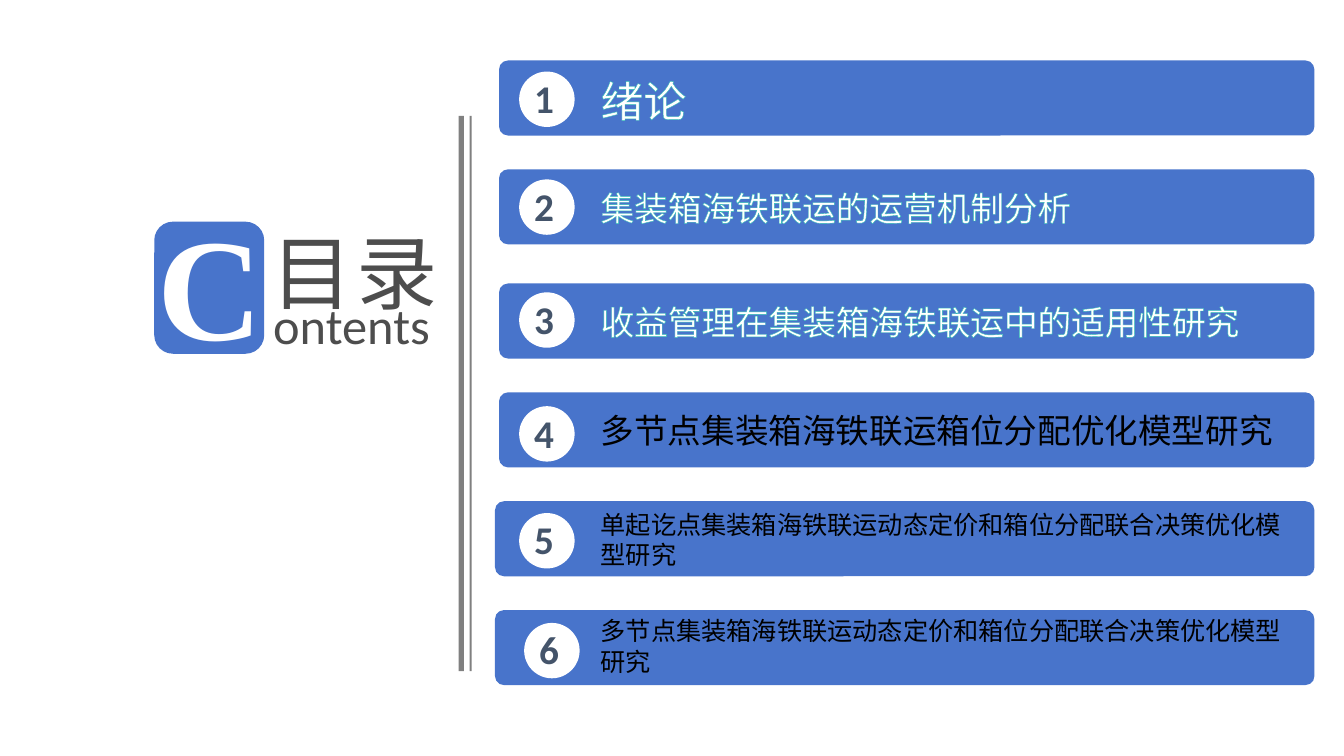
"""Contents slide: a lettered heading beside six numbered chapter bars, laid out in percent of the slide."""
from dataclasses import dataclass

from lxml.etree import SubElement
from pptx import Presentation
from pptx.dml.color import RGBColor
from pptx.enum.shapes import MSO_SHAPE
from pptx.enum.text import PP_ALIGN
from pptx.oxml import parse_xml
from pptx.oxml.ns import nsdecls, qn
from pptx.slide import Slide
from pptx.util import Emu, Inches, Pt

WIDTH, HEIGHT = Inches(13.33), Inches(7.5)
BLUE, WHITE, BLACK, SLATE, DARK, GREY = "4874CB", "FFFFFF", "000000", "44546A", "4D4D4D", "808080"
TEAL = "30C0B4"
HAN, LATIN, SERIF = "Noto Sans CJK SC", "Calibri", "Times New Roman"
BAR_TOP, BAR_PITCH, BAR_HEIGHT, BAR_RIGHT = 8, 14.4, 9.93, 97.8
LOWER_SHIFT = 0.7


@dataclass
class Box:
    left: float
    top: float
    width: float
    height: float

    def emu(self) -> tuple[Emu, Emu, Emu, Emu]:
        return (Emu(round(WIDTH * self.left / 100)), Emu(round(HEIGHT * self.top / 100)),
                Emu(round(WIDTH * self.width / 100)), Emu(round(HEIGHT * self.height / 100)))


@dataclass
class Style:
    size: float
    color: str
    font: str
    bold: bool = False
    outline: str = ""
    spacing: int = 0


@dataclass
class Chapter:
    title: str
    size: float
    color: str
    badge_drop: float
    title_drop: float
    outline: str = ""
    bar_left: float = 37.13
    badge_left: float = 38.63


CHAPTERS = [
    Chapter("绪论", 30.6, WHITE, 1.47, 1.2, TEAL),
    Chapter("集装箱海铁联运的运营机制分析", 24, WHITE, 1.33, 1.73, TEAL),
    Chapter("收益管理在集装箱海铁联运中的适用性研究", 24, WHITE, 1.17, 1.7, TEAL),
    Chapter("多节点集装箱海铁联运箱位分配优化模型研究", 24, BLACK, 1.83, 1.7),
    Chapter("单起讫点集装箱海铁联运动态定价和箱位分配联合决策优化模型研究",
            18, BLACK, 1.57, 0.37, bar_left=36.83),
    Chapter("多节点集装箱海铁联运动态定价和箱位分配联合决策优化模型研究",
            18, BLACK, 1.7, 0.1, bar_left=36.83, badge_left=39),
]


def rgb(color: str) -> RGBColor:
    return RGBColor.from_string(color)


def add_block(s: Slide, kind: MSO_SHAPE, box: Box, color: str, corner: float | None = None) -> None:
    sp = s.shapes.add_shape(kind, *box.emu())
    sp.shadow.inherit = False
    sp.fill.solid()
    sp.fill.fore_color.rgb = rgb(color)
    sp.line.fill.background()
    if corner is not None:
        sp.adjustments[0] = corner


def add_text(s: Slide, text: str, box: Box, style: Style, wrap: bool = True,
             inset: bool = True, align: PP_ALIGN = PP_ALIGN.LEFT) -> None:
    tf = s.shapes.add_textbox(*box.emu()).text_frame
    tf.word_wrap = wrap
    if not inset:
        tf.margin_left = tf.margin_right = tf.margin_top = tf.margin_bottom = 0
    p = tf.paragraphs[0]
    p.text = text
    p.alignment = align
    p.line_spacing = Pt(style.size * 1.2)
    p.font.size = Pt(style.size)
    p.font.bold = style.bold
    p.font.color.rgb = rgb(style.color)
    p.font.name = style.font
    props = p._p.pPr.find(qn("a:defRPr"))
    SubElement(props, qn("a:ea")).set("typeface", style.font)
    if style.spacing:
        props.set("spc", str(style.spacing))
    if style.outline:
        props.insert(0, parse_xml(
            f'<a:ln {nsdecls("a")} w="{Pt(0.8)}"><a:solidFill>'
            f'<a:srgbClr val="{style.outline}"/></a:solidFill></a:ln>'))


def add_heading(s: Slide) -> None:
    add_block(s, MSO_SHAPE.ROUNDED_RECTANGLE, Box(11.48, 29.33, 8.18, 17.47), BLUE, 0.17)
    add_text(s, "C", Box(11.55, 25.73, 8.18, 23), Style(104, WHITE, SERIF, bold=True),
             wrap=False, inset=False, align=PP_ALIGN.CENTER)
    add_text(s, "目录", Box(20.18, 29.4, 13, 12.9), Style(58, DARK, HAN, spacing=300),
             wrap=False, inset=False)
    add_text(s, "ontents", Box(20.33, 38.93, 12.5, 8), Style(36, DARK, LATIN),
             wrap=False, inset=False)
    for left, width in ((34.13, 0.38), (34.95, 0.15)):
        add_block(s, MSO_SHAPE.RECTANGLE, Box(left, 15.33, width, 73.47), GREY)


def add_chapter(s: Slide, index: int, chapter: Chapter) -> None:
    top = BAR_TOP + BAR_PITCH * index + (LOWER_SHIFT if index > 1 else 0)
    bar = Box(chapter.bar_left, top, BAR_RIGHT - chapter.bar_left, BAR_HEIGHT)
    badge = Box(chapter.badge_left, top + chapter.badge_drop, 4.13, 7.33)
    add_block(s, MSO_SHAPE.ROUNDED_RECTANGLE, bar, BLUE, 0.12)
    add_block(s, MSO_SHAPE.OVAL, badge, WHITE)
    add_text(s, str(index + 1), Box(badge.left + 0.38, badge.top - 0.3, 3, 7.6),
             Style(28, SLATE, LATIN, bold=True))
    add_text(s, chapter.title, Box(43.95, top + chapter.title_drop, 53.25, 9.33 if chapter.size < 20 else 6.67),
             Style(chapter.size, chapter.color, HAN, outline=chapter.outline))


def main() -> None:
    prs = Presentation()
    prs.slide_width, prs.slide_height = WIDTH, HEIGHT
    s = prs.slides.add_slide(prs.slide_layouts[6])
    add_heading(s)
    for index, chapter in enumerate(CHAPTERS):
        add_chapter(s, index, chapter)
    prs.save("out.pptx")


if __name__ == "__main__":
    main()
